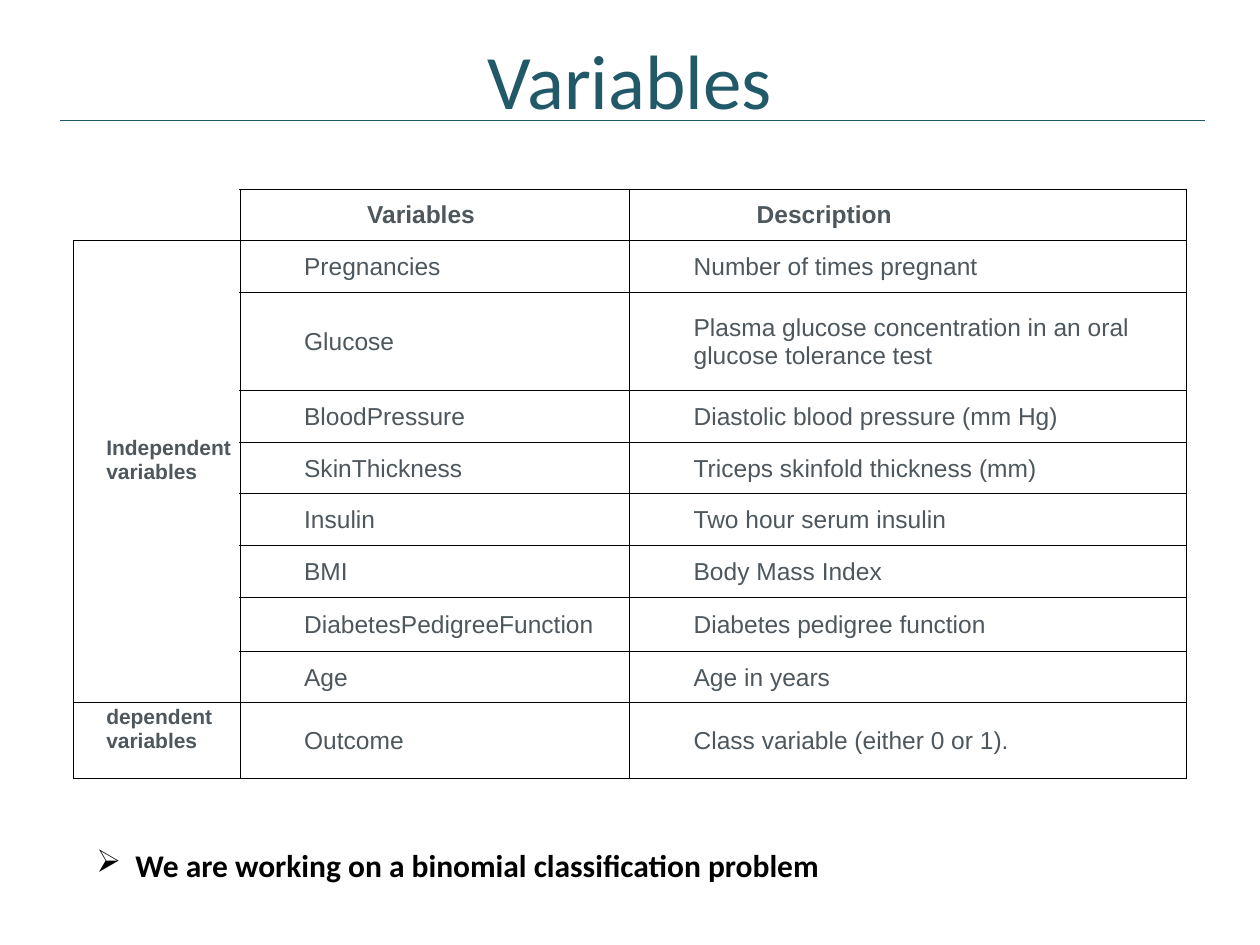
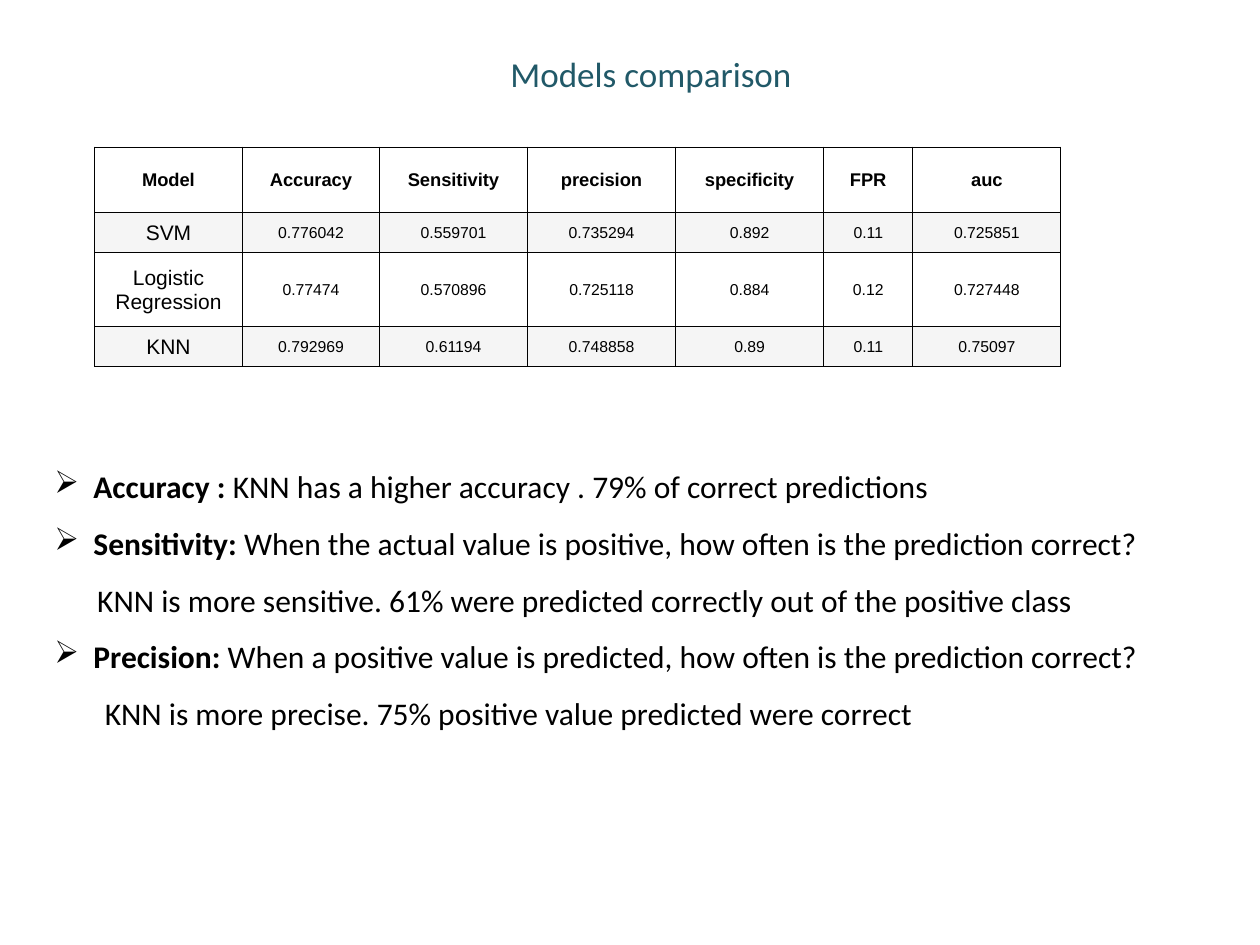
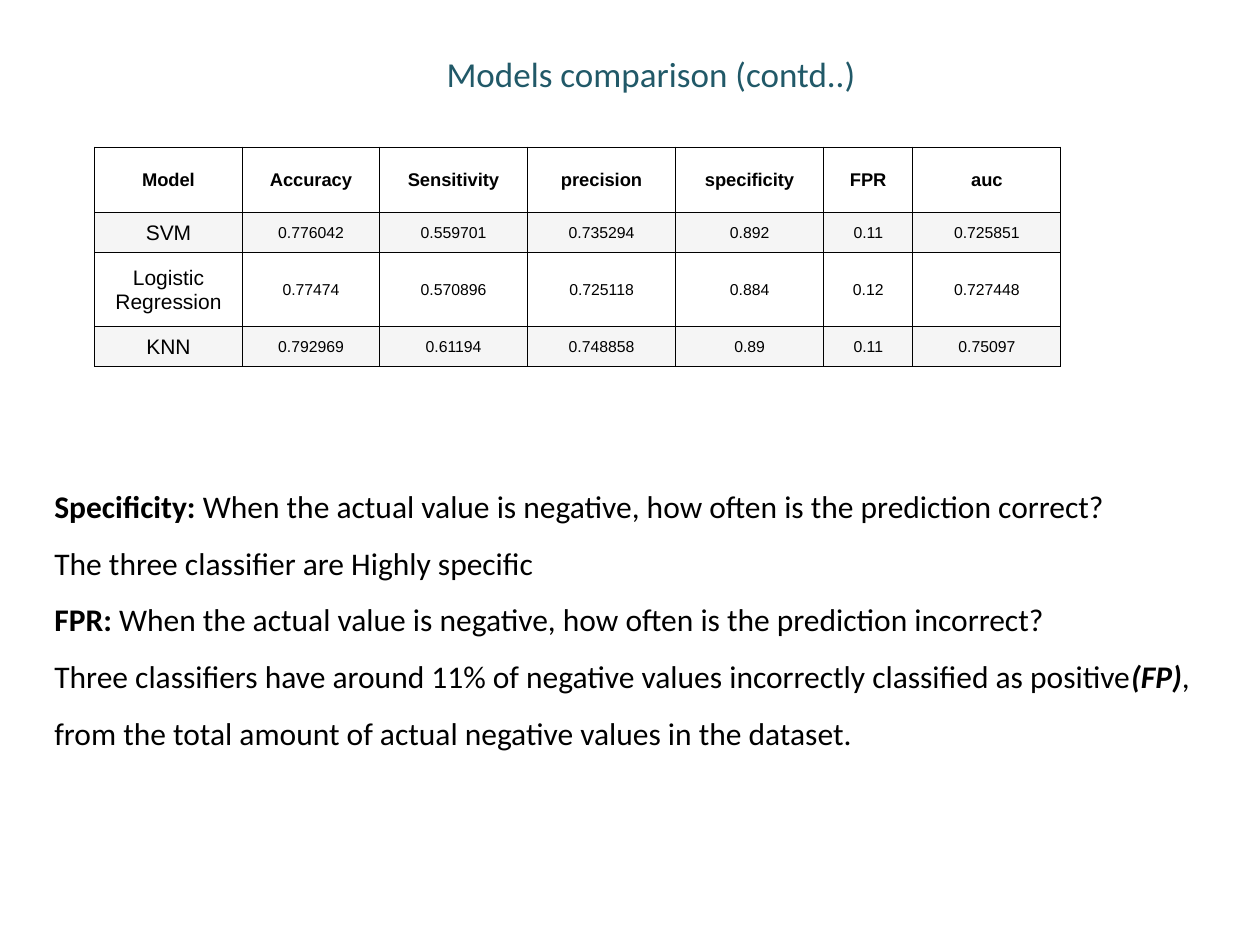
"""Build three slides on the variables and the compared models of a diabetes study."""
from typing import NamedTuple

from lxml import etree
from pptx import Presentation
from pptx.dml.color import RGBColor
from pptx.enum.shapes import MSO_CONNECTOR
from pptx.enum.text import MSO_ANCHOR, PP_ALIGN
from pptx.oxml.ns import qn
from pptx.util import Emu, Inches, Pt

LEFT, CENTER = PP_ALIGN.LEFT, PP_ALIGN.CENTER
TOP, MIDDLE = MSO_ANCHOR.TOP, MSO_ANCHOR.MIDDLE
STRAIGHT = MSO_CONNECTOR.STRAIGHT

COLORS = {
    "page": "FFFFFF",
    "title": "215968",
    "body": "000000",
    "variable": "4D575D",
    "band": "F5F5F5",
    "border": "000000",
}
BODY_FONT, TABLE_FONT = "Calibri", "Arial"
WIDTH, HEIGHT = Inches(10), Inches(7.5)
GRID_COLUMNS, GRID_ROWS = 120, 90
BORDER_WIDTH = Pt(0.5)
ALL_SIDES = "LRTB"
BULLET, BULLET_INDENT = "➢", 0.31


class Area(NamedTuple):
    """A place on the slide in grid columns and rows."""
    left: float
    top: float
    width: float
    height: float


class Run(NamedTuple):
    """A stretch of text in one style."""
    text: str
    bold: bool = False
    italic: bool = False


class Para(NamedTuple):
    """A paragraph with its left indent in inches."""
    runs: list[Run]
    indent: float = 0
    bulleted: bool = False


class Variable(NamedTuple):
    """A variable of the dataset with its table row height."""
    name: str
    description: str
    height: float = 4.92


class ModelScore(NamedTuple):
    """A model's scores with its table row height."""
    model: str
    scores: list[str]
    height: float
    fill: str


class Comparison(NamedTuple):
    """A comparison slide with the comments below its table."""
    title: str
    comments_top: float
    comments: list[Para]


VARIABLES = [
    Variable("Pregnancies", "Number of times pregnant"),
    Variable("Glucose", "Plasma glucose concentration in an oral glucose tolerance test", 9.35),
    Variable("BloodPressure", "Diastolic blood pressure (mm Hg)"),
    Variable("SkinThickness", "Triceps skinfold thickness (mm)"),
    Variable("Insulin", "Two hour serum insulin"),
    Variable("BMI", "Body Mass Index"),
    Variable("DiabetesPedigreeFunction", "Diabetes pedigree function", 5.15),
    Variable("Age", "Age in years"),
    Variable("Outcome", "Class variable (either 0 or 1).", 6.85),
]
VARIABLE_COLUMNS = [15.85, 37.1, 53.05]
VARIABLE_HEADER_HEIGHT = 4.92

METRICS = ["Model", "Accuracy", "Sensitivity", "precision", "specificity", "FPR", "auc"]
METRIC_COLUMNS = [14.1, 13.05, 14.1, 14.1, 14.1, 8.5, 14.1]
METRIC_HEADER_HEIGHT = 6.2
SCORES = [
    ModelScore("SVM", ["0.776042", "0.559701", "0.735294", "0.892", "0.11", "0.725851"], 3.85, "band"),
    ModelScore("Logistic Regression", ["0.77474", "0.570896", "0.725118", "0.884", "0.12", "0.727448"], 7.05, "page"),
    ModelScore("KNN", ["0.792969", "0.61194", "0.748858", "0.89", "0.11", "0.75097"], 3.85, "band"),
]

COMPARISONS = [
    Comparison("Models comparison", 42.1, [
        Para([Run("Accuracy : ", True),
              Run("KNN has a higher accuracy . 79% of correct predictions")], BULLET_INDENT, True),
        Para([Run("Sensitivity: ", True),
              Run("When the actual value is positive, how often is the prediction correct?")],
             BULLET_INDENT, True),
        Para([Run("KNN is more sensitive. 61% were predicted correctly out of the positive class")], 0.34),
        Para([Run("Precision: ", True),
              Run("When a positive value is predicted, how often is the prediction correct?")],
             BULLET_INDENT, True),
        Para([Run("KNN is more precise. 75% positive value predicted were correct")], 0.4),
    ]),
    Comparison("Models comparison (contd..)", 44, [
        Para([Run("Specificity: ", True),
              Run("When the actual value is negative, how often is the prediction correct?")]),
        Para([Run("The three classifier are Highly specific")]),
        Para([Run("FPR: ", True),
              Run("When the actual value is negative, how often is the prediction incorrect?")]),
        Para([Run("Three classifiers have around 11% of negative values incorrectly classified as positive"),
              Run("(FP)", True, True),
              Run(", from the total amount of actual negative values in the dataset.")]),
    ]),
]


def across(columns: float) -> Emu:
    """Turn grid columns into a length."""
    return Emu(round(columns * WIDTH / GRID_COLUMNS))


def down(rows: float) -> Emu:
    """Turn grid rows into a length."""
    return Emu(round(rows * HEIGHT / GRID_ROWS))


def place(area: Area) -> tuple[Emu, Emu, Emu, Emu]:
    """Turn a grid area into left, top, width and height."""
    return across(area.left), down(area.top), across(area.width), down(area.height)


def write(frame, paras: list[Para], *, size: float = 18, color: str = "body",
          font: str = BODY_FONT, align=LEFT, spacing: float = 1.0) -> None:
    """Fill a text frame with formatted paragraphs."""
    for index, para in enumerate(paras):
        paragraph = frame.paragraphs[0] if index == 0 else frame.add_paragraph()
        paragraph.alignment = align
        paragraph.line_spacing = spacing
        properties = paragraph._p.get_or_add_pPr()
        properties.set("marL", str(Inches(para.indent)))
        properties.set("indent", str(-Inches(para.indent) if para.bulleted else 0))
        if para.bulleted:
            etree.SubElement(properties, qn("a:buChar"), char=BULLET)
        for part in para.runs:
            run = paragraph.add_run()
            run.text = part.text
            run.font.size = Pt(size)
            run.font.name = font
            run.font.bold = part.bold
            run.font.italic = part.italic
            run.font.color.rgb = RGBColor.from_string(COLORS[color])


def add_text(slide, area: Area, paras: list[Para], *, anchor=TOP, **style) -> None:
    """Add a wrapping text box."""
    frame = slide.shapes.add_textbox(*place(area)).text_frame
    frame.word_wrap = True
    frame.vertical_anchor = anchor
    write(frame, paras, **style)


def add_title(slide, area: Area, title: str, size: float) -> None:
    """Add a centred slide title."""
    add_text(slide, area, [Para([Run(title)])], anchor=MIDDLE, size=size, color="title", align=CENTER)


def add_rule(slide, left: float, right: float, top: float) -> None:
    """Draw the thin line below a title."""
    rule = slide.shapes.add_connector(STRAIGHT, across(left), down(top), across(right), down(top))
    rule.line.color.rgb = RGBColor.from_string(COLORS["title"])
    rule.line.width = Pt(0.75)
    etree.SubElement(rule._element.spPr, qn("a:effectLst"))


def add_grid(slide, left: float, top: float, widths: list[float], heights: list[float]):
    """Add a plain table with the given column widths and row heights."""
    area = Area(left, top, sum(widths), sum(heights))
    table = slide.shapes.add_table(len(heights), len(widths), *place(area)).table
    table.first_row = table.horz_banding = False
    for column, width in zip(table.columns, widths):
        column.width = across(width)
    for row, height in zip(table.rows, heights):
        row.height = down(height)
    return table


def format_cell(cell, *, fill: str = "page", sides: str = ALL_SIDES, bottom: float = 0) -> None:
    """Set the fill, margins and borders of a cell."""
    cell.fill.solid()
    cell.fill.fore_color.rgb = RGBColor.from_string(COLORS[fill])
    cell.vertical_anchor = MIDDLE
    cell.margin_left = cell.margin_right = cell.margin_top = Inches(0.01)
    cell.margin_bottom = Inches(bottom)
    properties = cell._tc.get_or_add_tcPr()
    for index, side in enumerate(sides):
        border = etree.Element(qn(f"a:ln{side}"), w=str(BORDER_WIDTH))
        solid = etree.SubElement(border, qn("a:solidFill"))
        etree.SubElement(solid, qn("a:srgbClr"), val=COLORS["border"])
        properties.insert(index, border)


def fill_cell(cell, text: str, *, bold: bool = False, indent: float = 0, fill: str = "page",
              bottom: float = 0, **style) -> None:
    """Format a cell and write its text."""
    format_cell(cell, fill=fill, bottom=bottom)
    write(cell.text_frame, [Para([Run(text, bold)], indent)], font=TABLE_FONT, **style)


def add_variable_table(slide) -> None:
    """Add the table of variables grouped by their role."""
    heights = [VARIABLE_HEADER_HEIGHT] + [variable.height for variable in VARIABLES]
    table = add_grid(slide, 7, 18, VARIABLE_COLUMNS, heights)
    outcome_row = len(VARIABLES)
    format_cell(table.cell(0, 0), sides="RB")
    for column, heading in enumerate(["Variables", "Description"], 1):
        fill_cell(table.cell(0, column), heading, bold=True, indent=1, size=14, color="variable")
    for row, variable in enumerate(VARIABLES, 1):
        for column, text in enumerate([variable.name, variable.description], 1):
            fill_cell(table.cell(row, column), text, indent=0.5, size=14, color="variable")
    for row in range(2, outcome_row):
        format_cell(table.cell(row, 0))
    table.cell(1, 0).merge(table.cell(outcome_row - 1, 0))
    for row, role in [(1, "Independent variables"), (outcome_row, "dependent variables")]:
        fill_cell(table.cell(row, 0), role, bold=True, indent=0.25, bottom=0.19,
                  size=12, color="variable")


def add_score_table(slide) -> None:
    """Add the table of model scores."""
    heights = [METRIC_HEADER_HEIGHT] + [score.height for score in SCORES]
    table = add_grid(slide, 9, 14, METRIC_COLUMNS, heights)
    for column, metric in enumerate(METRICS):
        fill_cell(table.cell(0, column), metric, bold=True, size=10.5, align=CENTER)
    for row, score in enumerate(SCORES, 1):
        for column, text in enumerate([score.model, *score.scores]):
            fill_cell(table.cell(row, column), text, fill=score.fill,
                      size=9 if column else 12, align=CENTER)


def add_slide(deck):
    """Add a blank slide with the page colour."""
    slide = deck.slides.add_slide(deck.slide_layouts[6])
    slide.background.fill.solid()
    slide.background.fill.fore_color.rgb = RGBColor.from_string(COLORS["page"])
    return slide


def build_variables(deck) -> None:
    """Build the slide that lists the variables."""
    slide = add_slide(deck)
    add_title(slide, Area(6, 0, 108, 15), "Variables", 44)
    add_variable_table(slide)
    problem = Para([Run("We are working on a binomial classification problem", True)],
                   BULLET_INDENT, True)
    add_text(slide, Area(8, 80, 100, 4.85), [problem])
    add_rule(slide, 5.75, 114.75, 11.5)


def build_comparison(deck, comparison: Comparison) -> None:
    """Build one slide that compares the models."""
    slide = add_slide(deck)
    add_title(slide, Area(7, 3, 110, 8), comparison.title, 20)
    add_score_table(slide)
    add_text(slide, Area(4, comparison.comments_top, 113, 34), comparison.comments, spacing=1.5)


def main() -> None:
    """Build and save the presentation."""
    deck = Presentation()
    deck.slide_width, deck.slide_height = WIDTH, HEIGHT
    build_variables(deck)
    for comparison in COMPARISONS:
        build_comparison(deck, comparison)
    deck.save("out.pptx")


if __name__ == "__main__":
    main()
